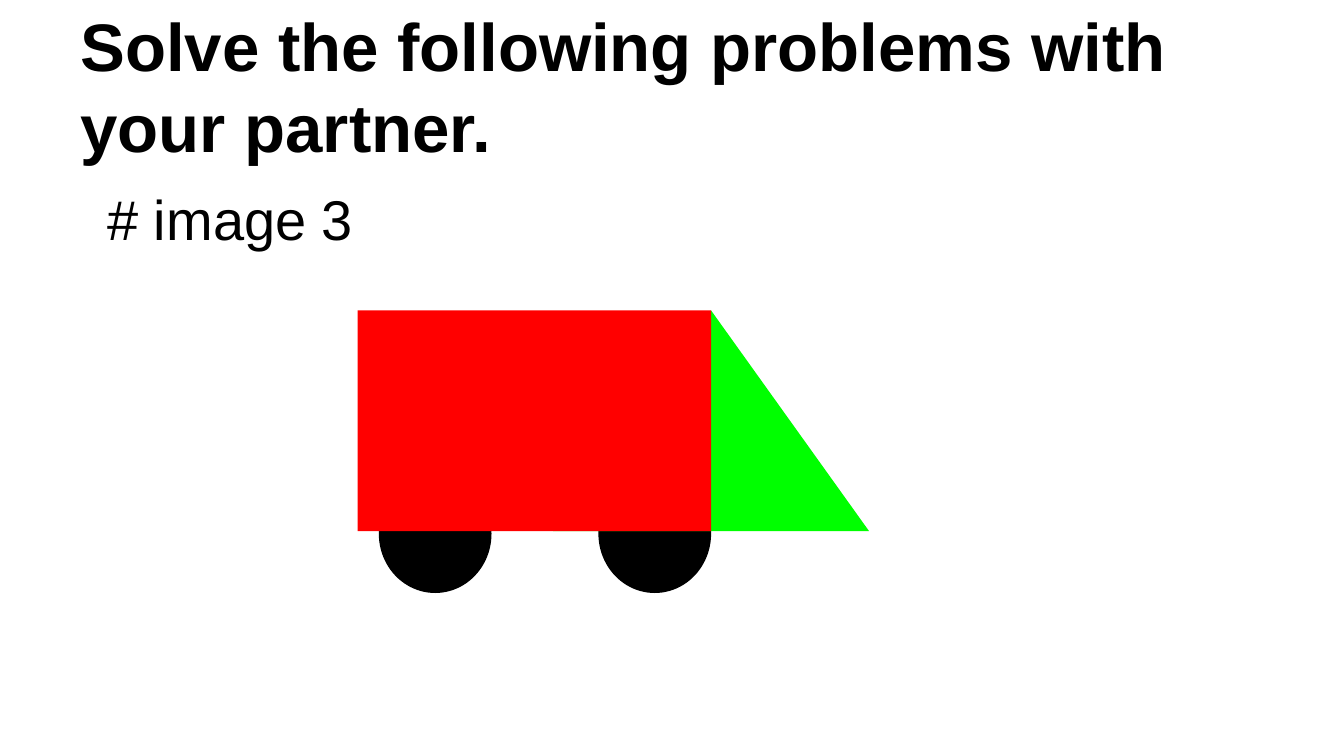
from dataclasses import dataclass

from pptx import Presentation
from pptx.dml.color import RGBColor
from pptx.enum.shapes import MSO_SHAPE
from pptx.enum.text import MSO_ANCHOR, MSO_AUTO_SIZE, PP_ALIGN
from pptx.util import Cm, Pt


@dataclass(frozen=True)
class Theme:
    font: str = "Arial"
    ink: str = "000000"
    body: str = "FF0000"
    cab: str = "00FF00"
    title_size: int = 36
    label_size: int = 30
    inset: float = 0.25


class Deck:
    def __init__(self, prs, theme):
        self.theme = theme
        self.s = prs.slides.add_slide(prs.slide_layouts[5])

    def set_text(self, sp, text, size, bold, anchor):
        tf = sp.text_frame
        tf.word_wrap = True
        tf.auto_size = MSO_AUTO_SIZE.NONE
        tf.vertical_anchor = anchor
        tf.margin_left = tf.margin_right = Cm(self.theme.inset)
        tf.margin_top = tf.margin_bottom = Cm(self.theme.inset)
        p = tf.paragraphs[0]
        p.alignment = PP_ALIGN.LEFT
        r = p.add_run()
        r.text = text
        r.font.name = self.theme.font
        r.font.size = Pt(size)
        r.font.bold = bold
        r.font.color.rgb = RGBColor.from_string(self.theme.ink)

    def title(self, text, x, y, w, h):
        sp = self.s.shapes.title
        sp.left, sp.top, sp.width, sp.height = Cm(x), Cm(y), Cm(w), Cm(h)
        self.set_text(sp, text, self.theme.title_size, True, MSO_ANCHOR.BOTTOM)

    def label(self, text, x, y, w, h):
        sp = self.s.shapes.add_textbox(Cm(x), Cm(y), Cm(w), Cm(h))
        self.set_text(sp, text, self.theme.label_size, False, MSO_ANCHOR.TOP)

    def shape(self, kind, color, x, y, w, h):
        sp = self.s.shapes.add_shape(kind, Cm(x), Cm(y), Cm(w), Cm(h))
        sp.shadow.inherit = False
        sp.fill.solid()
        sp.fill.fore_color.rgb = RGBColor.from_string(color)
        sp.line.fill.background()


prs = Presentation()
prs.slide_width, prs.slide_height = Cm(25.4), Cm(14.29)
theme = Theme()
deck = Deck(prs, theme)

deck.title("Solve the following problems with your partner.", 1.27, 0.99, 22.86, 2.39)
deck.label("# image 3", 1.78, 3.23, 22.35, 1.9)

truck_x, truck_y, truck_w, truck_h = 6.76, 5.87, 6.68, 4.17
cab_w = 5.97
wheel_w, wheel_h, wheel_y = 2.13, 2.24, 8.97
truck_right = truck_x + truck_w

for wheel_x in (truck_x + 0.4, truck_right - wheel_w):
    deck.shape(MSO_SHAPE.OVAL, theme.ink, wheel_x, wheel_y, wheel_w, wheel_h)
deck.shape(MSO_SHAPE.ISOSCELES_TRIANGLE, theme.cab,
           truck_right - cab_w / 2, truck_y, cab_w, truck_h)
deck.shape(MSO_SHAPE.RECTANGLE, theme.body, truck_x, truck_y, truck_w, truck_h)

prs.save("out.pptx")
